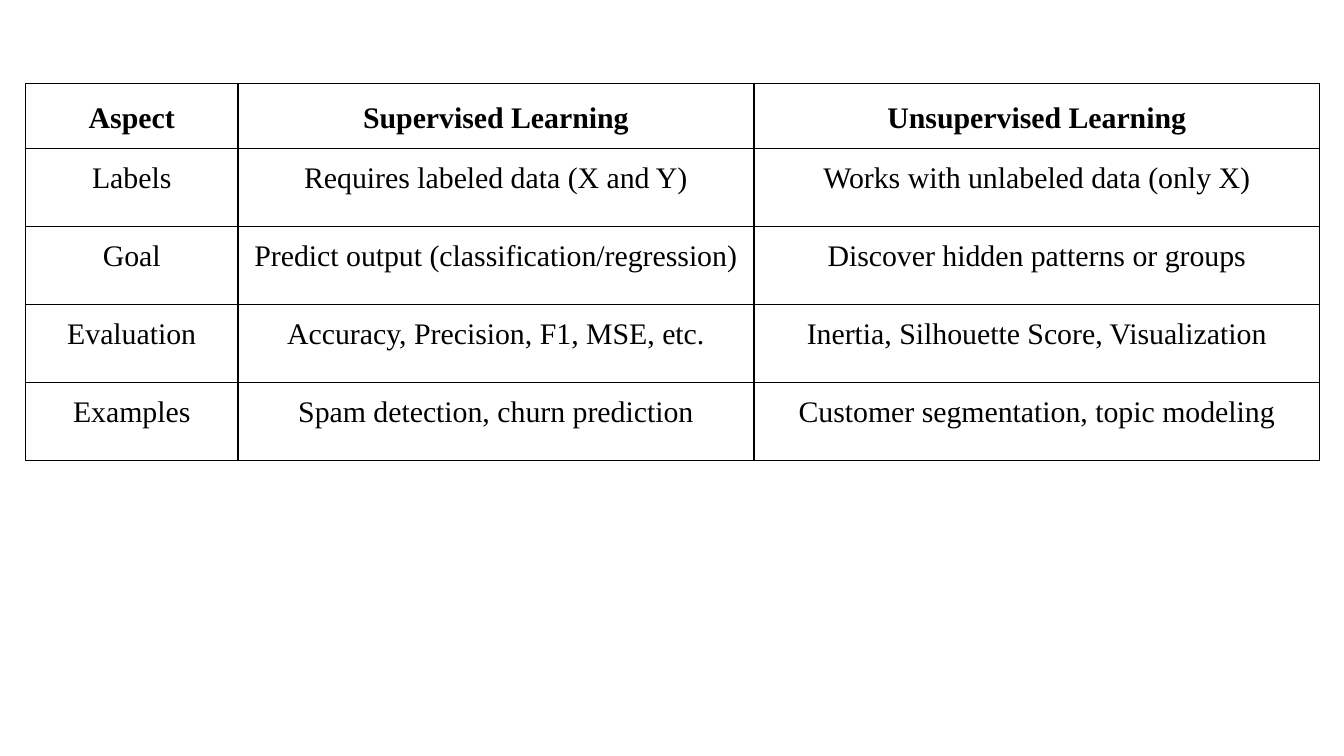
from dataclasses import dataclass

from lxml.etree import SubElement
from pptx import Presentation
from pptx.dml.color import RGBColor
from pptx.enum.text import MSO_ANCHOR, PP_ALIGN
from pptx.oxml.ns import qn
from pptx.util import Inches, Pt


@dataclass(frozen=True)
class Theme:
    """Colours and type sizes of the slide."""
    ink: str = "000000"
    font: str = "Times New Roman"
    text_size: float = 16
    border_width: float = 0.75
    header_spacing: float = 1.15
    cell_margin: float = 0.1


THEME = Theme()
SLIDE_WIDTH = 10
COLUMN_WIDTHS = [1.58, 3.84, 4.21]
HEADER_HEIGHT, ASPECT_HEIGHT = 0.44, 0.58
COMPARISON = [
    ("Aspect", "Supervised Learning", "Unsupervised Learning"),
    ("Labels", "Requires labeled data (X and Y)", "Works with unlabeled data (only X)"),
    ("Goal", "Predict output (classification/regression)", "Discover hidden patterns or groups"),
    ("Evaluation", "Accuracy, Precision, F1, MSE, etc.", "Inertia, Silhouette Score, Visualization"),
    ("Examples", "Spam detection, churn prediction", "Customer segmentation, topic modeling"),
]


def add_borders(cell):
    """Draw a thin solid line on all four sides of a cell."""
    properties = cell._tc.get_or_add_tcPr()
    for position, side in enumerate(("a:lnL", "a:lnR", "a:lnT", "a:lnB")):
        border = SubElement(properties, qn(side), w=str(Pt(THEME.border_width)))
        line_fill = SubElement(border, qn("a:solidFill"))
        SubElement(line_fill, qn("a:srgbClr"), val=THEME.ink)
        properties.insert(position, border)


def fill_cell(cell, wording, is_header):
    """Write centred wording into a bordered, unfilled cell."""
    cell.text = wording
    cell.fill.background()
    cell.vertical_anchor = MSO_ANCHOR.TOP
    margin = Inches(THEME.cell_margin)
    cell.margin_left = cell.margin_right = margin
    cell.margin_top = cell.margin_bottom = margin
    paragraph = cell.text_frame.paragraphs[0]
    paragraph.alignment = PP_ALIGN.CENTER
    if is_header:
        paragraph.line_spacing = THEME.header_spacing
    font = paragraph.font
    font.name = THEME.font
    font.size = Pt(THEME.text_size)
    font.bold = is_header
    font.color.rgb = RGBColor.from_string(THEME.ink)
    add_borders(cell)


def add_comparison(slide, left, top):
    """Add the table that compares the two kinds of learning."""
    heights = [HEADER_HEIGHT] + [ASPECT_HEIGHT] * (len(COMPARISON) - 1)
    comparison = slide.shapes.add_table(
        len(heights), len(COLUMN_WIDTHS), Inches(left), Inches(top),
        Inches(sum(COLUMN_WIDTHS)), Inches(sum(heights)),
    ).table
    comparison.first_row = comparison.horz_banding = False
    for column, width in zip(comparison.columns, COLUMN_WIDTHS):
        column.width = Inches(width)
    for index, (row, height, entries) in enumerate(zip(comparison.rows, heights, COMPARISON)):
        row.height = Inches(height)
        for cell, wording in zip(row.cells, entries):
            fill_cell(cell, wording, is_header=index == 0)


def main():
    """Build the slide and save it."""
    presentation = Presentation()
    presentation.slide_width = Inches(SLIDE_WIDTH)
    presentation.slide_height = Inches(SLIDE_WIDTH * 9 / 16)
    slide = presentation.slides.add_slide(presentation.slide_layouts[6])
    add_comparison(slide, left=0.19, top=0.62)
    presentation.save("out.pptx")


if __name__ == "__main__":
    main()
